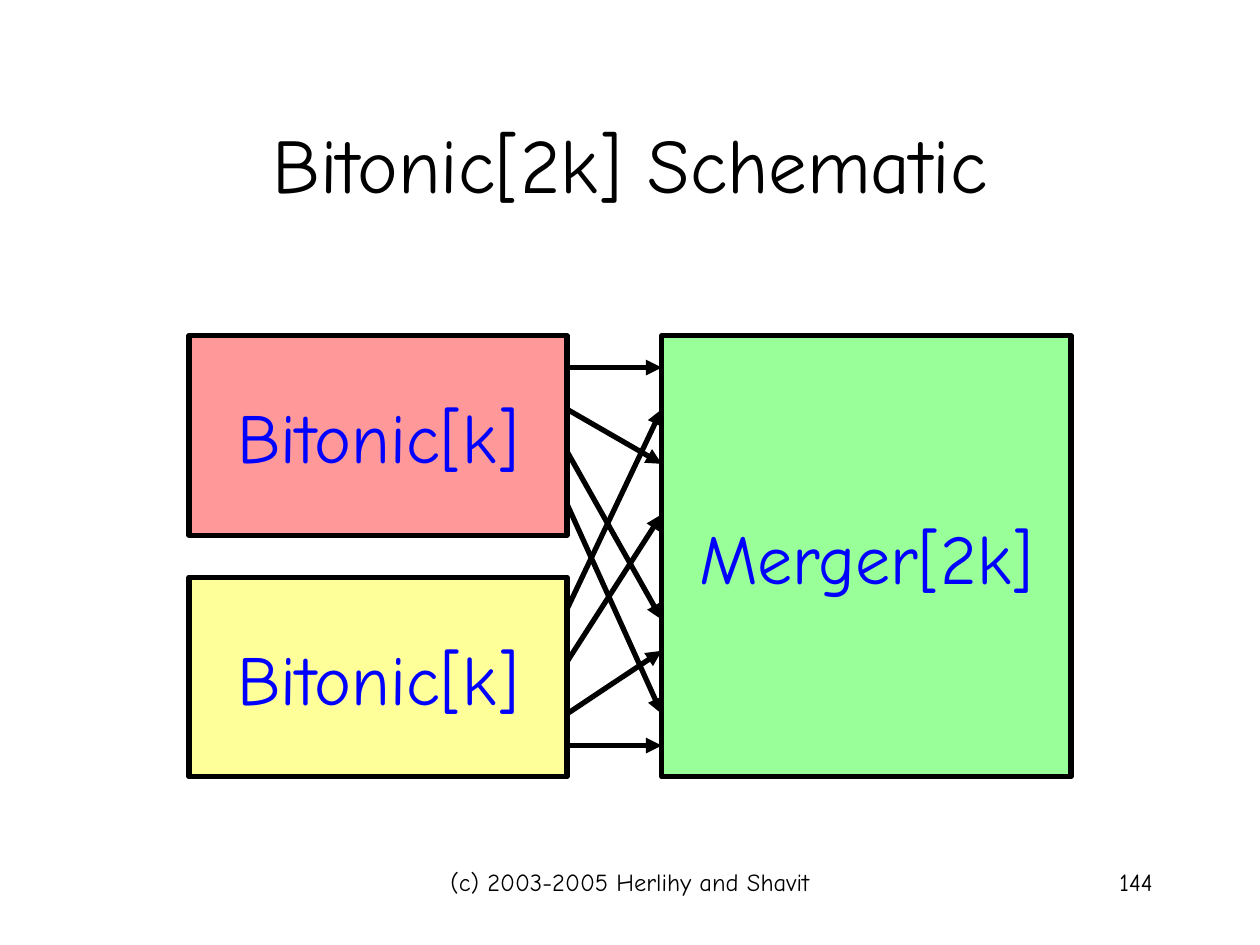
from typing import NamedTuple

from lxml.etree import SubElement
from pptx import Presentation
from pptx.dml.color import RGBColor
from pptx.enum.shapes import MSO_CONNECTOR, MSO_SHAPE
from pptx.enum.text import MSO_ANCHOR, PP_ALIGN
from pptx.oxml.ns import qn
from pptx.slide import Slide
from pptx.text.text import TextFrame
from pptx.util import Cm, Pt

FONT = "Comic Neue"
BLACK = RGBColor(0x00, 0x00, 0x00)
BLUE = RGBColor(0x00, 0x00, 0xFF)
RED_FILL = RGBColor(0xFF, 0x99, 0x99)
YELLOW_FILL = RGBColor(0xFF, 0xFF, 0x99)
GREEN_FILL = RGBColor(0x99, 0xFF, 0x99)
STROKE = Pt(3)


class Area(NamedTuple):
    left: float
    top: float
    width: float
    height: float


class Network(NamedTuple):
    label: str
    area: Area
    fill: RGBColor


class Caption(NamedTuple):
    text: str
    area: Area
    size: int
    align: PP_ALIGN
    anchor: MSO_ANCHOR


class Wire(NamedTuple):
    start_y: float
    end_y: float


# Lengths in centimetres
WIRE_LEFT, WIRE_RIGHT = 11.43, 13.34

NETWORKS = [
    Network("Bitonic[k]", Area(3.81, 6.77, 7.62, 4.02), RED_FILL),
    Network("Bitonic[k]", Area(3.81, 11.64, 7.62, 4.02), YELLOW_FILL),
    Network("Merger[2k]", Area(WIRE_RIGHT, 6.77, 8.25, 8.89), GREEN_FILL),
]

WIRES = [
    # From the upper half
    Wire(7.41, 7.41), Wire(8.25, 9.35), Wire(9.1, 12.49), Wire(10.16, 14.39),
    # From the lower half
    Wire(12.28, 8.25), Wire(13.34, 10.37), Wire(14.39, 13.12), Wire(15.03, 15.03),
]

CAPTIONS = [
    Caption("Bitonic[2k] Schematic", Area(1.91, 1.69, 21.59, 3.18), 44,
            PP_ALIGN.CENTER, MSO_ANCHOR.MIDDLE),
    Caption("(c) 2003-2005 Herlihy and Shavit", Area(8.68, 17.36, 8.04, 1.27), 14,
            PP_ALIGN.CENTER, MSO_ANCHOR.TOP),
    Caption("144", Area(18.2, 17.36, 5.29, 1.27), 14,
            PP_ALIGN.RIGHT, MSO_ANCHOR.TOP),
]


def write_text(frame: TextFrame, text: str, size: int, color: RGBColor,
               align: PP_ALIGN, anchor: MSO_ANCHOR) -> None:
    frame.vertical_anchor = anchor
    para = frame.paragraphs[0]
    para.text = text
    para.alignment = align
    para.font.name = FONT
    para.font.size = Pt(size)
    para.font.color.rgb = color


def draw_caption(page: Slide, caption: Caption) -> None:
    box = page.shapes.add_textbox(*map(Cm, caption.area))
    box.text_frame.word_wrap = True
    write_text(box.text_frame, caption.text, caption.size, BLACK,
               caption.align, caption.anchor)


def draw_network(page: Slide, network: Network) -> None:
    box = page.shapes.add_shape(MSO_SHAPE.RECTANGLE, *map(Cm, network.area))
    box.shadow.inherit = False
    box.fill.solid()
    box.fill.fore_color.rgb = network.fill
    box.line.color.rgb = BLACK
    box.line.width = STROKE
    box.text_frame.word_wrap = False
    write_text(box.text_frame, network.label, 40, BLUE,
               PP_ALIGN.CENTER, MSO_ANCHOR.MIDDLE)


def draw_wire(page: Slide, wire: Wire) -> None:
    arrow = page.shapes.add_connector(
        MSO_CONNECTOR.STRAIGHT,
        Cm(WIRE_LEFT), Cm(wire.start_y), Cm(WIRE_RIGHT), Cm(wire.end_y))
    arrow.line.color.rgb = BLACK
    arrow.line.width = STROKE
    SubElement(arrow.line._get_or_add_ln(), qn("a:tailEnd"), type="triangle")
    SubElement(arrow._element.spPr, qn("a:effectLst"))


def main() -> None:
    deck = Presentation()
    deck.slide_width, deck.slide_height = Cm(25.4), Cm(19.05)
    page = deck.slides.add_slide(deck.slide_layouts[6])

    # Networks and the wires between them
    for network in NETWORKS:
        draw_network(page, network)
    for wire in WIRES:
        draw_wire(page, wire)

    # Title, copyright line and page number
    for caption in CAPTIONS:
        draw_caption(page, caption)

    deck.save("out.pptx")


if __name__ == "__main__":
    main()
